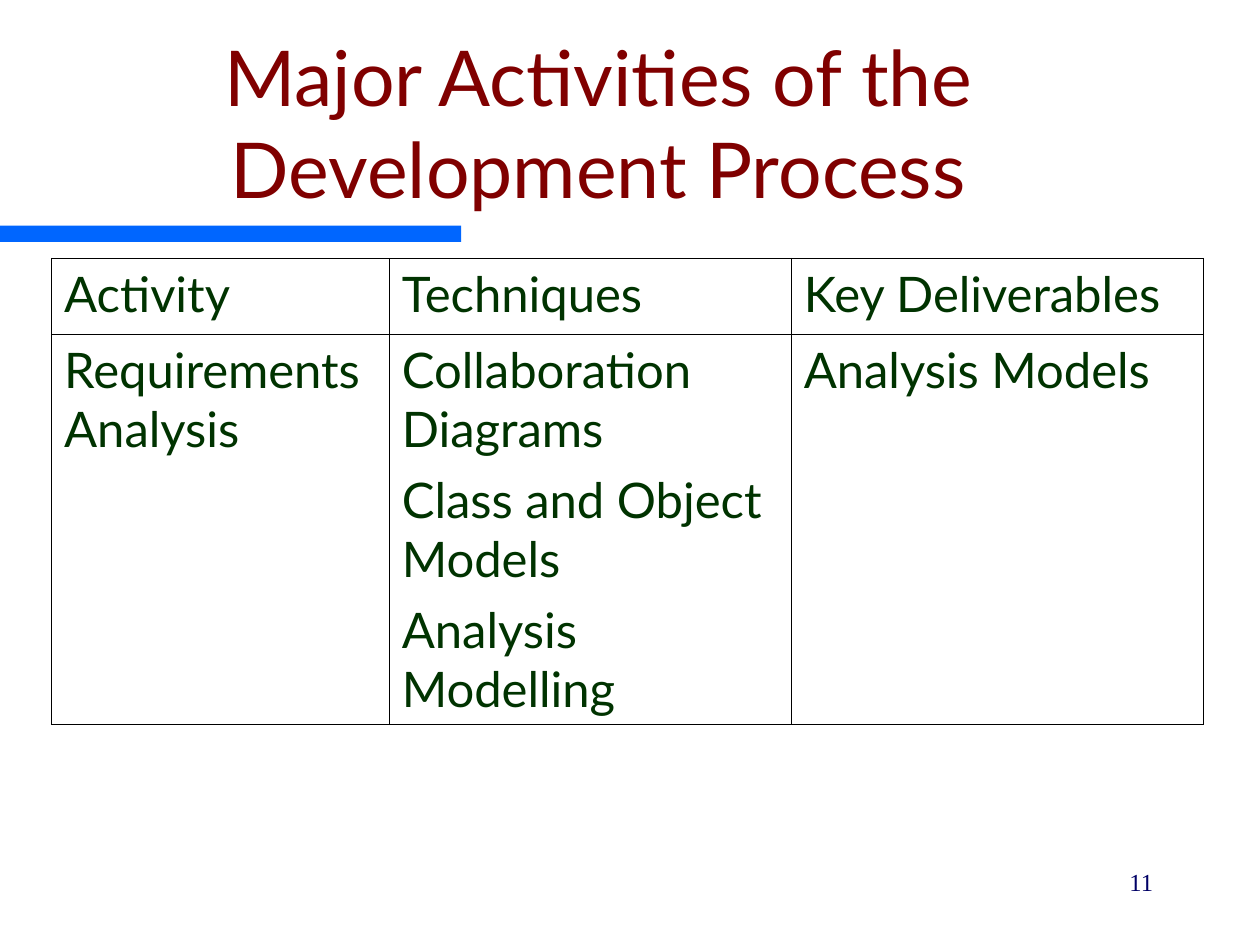
from lxml.etree import SubElement
from pptx import Presentation
from pptx.dml.color import RGBColor
from pptx.enum.shapes import MSO_SHAPE
from pptx.enum.text import MSO_ANCHOR, PP_ALIGN
from pptx.oxml.ns import qn
from pptx.util import Inches, Pt

TITLE = "Major Activities of the Development Process"
ROWS = [
    [["Activity"], ["Techniques"], ["Key Deliverables"]],
    [
        ["Requirements Analysis"],
        ["Collaboration Diagrams", "Class and Object Models", "Analysis Modelling"],
        ["Analysis Models"],
    ],
]
PAGE_NUMBER = "11"
COLUMN_WIDTHS = [2.68, 3.19, 3.27]
ROW_HEIGHTS = [0.6, 3.1]
OUTER_LINE, INNER_LINE = 0.75, 0.45


def color(value):
    return RGBColor.from_string(value)


def write(frame, lines, size, ink, font="Lato", align=PP_ALIGN.LEFT, before=0):
    frame.word_wrap = True
    for index, line in enumerate(lines):
        para = frame.paragraphs[0] if index == 0 else frame.add_paragraph()
        para.alignment = align
        para.space_before = Pt(before)
        span = para.add_run()
        span.text = line
        span.font.size = Pt(size)
        span.font.name = font
        span.font.color.rgb = color(ink)


def add_text(page, place, text, anchor=MSO_ANCHOR.TOP, **style):
    box = page.shapes.add_textbox(*map(Inches, place))
    box.text_frame.vertical_anchor = anchor
    write(box.text_frame, [text], **style)


def set_borders(cell, widths):
    properties = cell._tc.get_or_add_tcPr()
    for position, (side, width) in enumerate(widths.items()):
        line = SubElement(properties, qn(f"a:ln{side}"), w=str(Pt(width)))
        fill = SubElement(line, qn("a:solidFill"))
        SubElement(fill, qn("a:srgbClr"), val="000000")
        properties.insert(position, line)


def add_activity_table(page):
    last_row, last_column = len(ROWS) - 1, len(COLUMN_WIDTHS) - 1
    place = (0.41, 2.05, sum(COLUMN_WIDTHS), sum(ROW_HEIGHTS))
    table = page.shapes.add_table(len(ROWS), len(COLUMN_WIDTHS), *map(Inches, place)).table
    table.first_row = table.horz_banding = False
    for column, width in zip(table.columns, COLUMN_WIDTHS):
        column.width = Inches(width)
    for row, height in zip(table.rows, ROW_HEIGHTS):
        row.height = Inches(height)
    for row, contents in enumerate(ROWS):
        for column, lines in enumerate(contents):
            cell = table.cell(row, column)
            cell.fill.background()
            write(cell.text_frame, lines, size=28, ink="003300", before=7)
            outer = {
                "L": column == 0,
                "R": column == last_column,
                "T": row == 0,
                "B": row == last_row,
            }
            set_borders(cell, {side: OUTER_LINE if edge else INNER_LINE
                               for side, edge in outer.items()})


def main():
    deck = Presentation()
    deck.slide_width, deck.slide_height = Inches(10), Inches(7.5)
    page = deck.slides.add_slide(deck.slide_layouts[6])

    bar = page.shapes.add_shape(MSO_SHAPE.RECTANGLE, *map(Inches, (0, 1.79, 3.66, 0.13)))
    bar.shadow.inherit = False
    bar.fill.solid()
    bar.fill.fore_color.rgb = color("0066FF")
    bar.line.fill.background()

    add_text(page, (0.25, 0.5, 9, 1.25), TITLE, anchor=MSO_ANCHOR.BOTTOM,
             size=44, ink="800000", align=PP_ALIGN.CENTER)
    add_activity_table(page)
    add_text(page, (7.17, 6.83, 2.08, 0.5), PAGE_NUMBER, size=14, ink="000066",
             font="Times New Roman", align=PP_ALIGN.RIGHT, before=8.8)
    deck.save("out.pptx")


if __name__ == "__main__":
    main()
